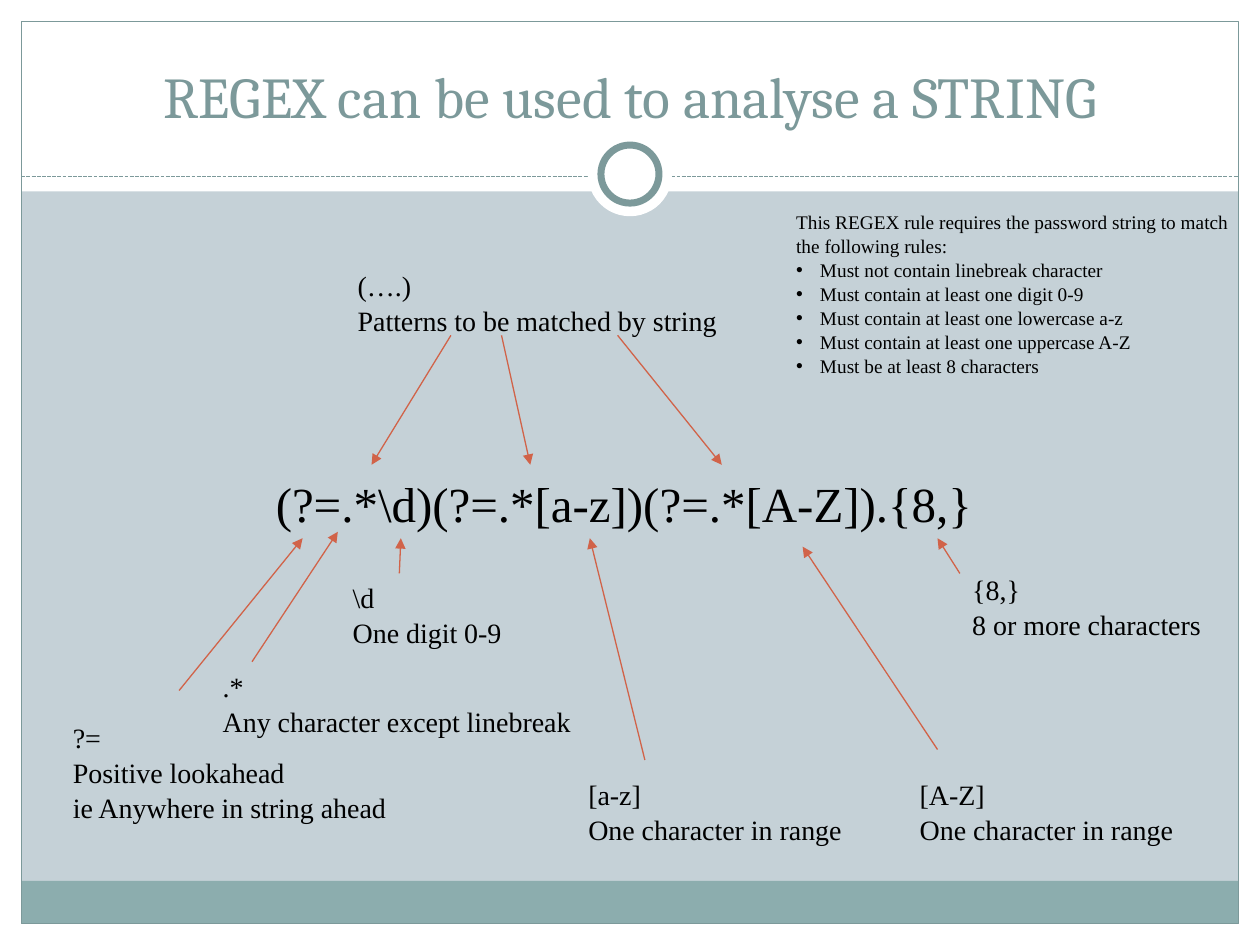
from dataclasses import dataclass
from lxml.etree import SubElement
from pptx import Presentation
from pptx.dml.color import RGBColor
from pptx.enum.dml import MSO_LINE
from pptx.enum.shapes import MSO_CONNECTOR, MSO_SHAPE
from pptx.enum.text import MSO_ANCHOR, PP_ALIGN
from pptx.oxml.ns import qn
from pptx.util import Cm, Pt


@dataclass(frozen=True)
class Theme:
    background: RGBColor = RGBColor.from_string("C5D1D7")
    white: RGBColor = RGBColor.from_string("FFFFFF")
    slate: RGBColor = RGBColor.from_string("7C999A")
    footer: RGBColor = RGBColor.from_string("8CADAE")
    arrow: RGBColor = RGBColor.from_string("D16349")
    text: RGBColor = RGBColor.from_string("000000")
    heading_font: str = "Cambria"
    body_font: str = "Times New Roman"
    heading_size: float = 33
    formula_size: float = 28
    note_size: float = 16
    rules_size: float = 11
    thin: float = 0.75
    ring: float = 4
    leading: float = 1.04


THEME = Theme()
SLIDE_WIDTH, SLIDE_HEIGHT = 25.4, 19.05
HEADER_HEIGHT = 3.86

FORMULA = r"(?=.*\d)(?=.*[a-z])(?=.*[A-Z]).{8,}"
NOTES = [
    (["{8,}", "8 or more characters"], (19.35, 7.54), 5.21,
     [(19.35, 7.7, 18.9, 6.99)]),
    (["[A-Z]", "One character in range"], (18.29, 11.66), 5.84,
     [(18.9, 11.25, 16.18, 7.16)]),
    (["[a-z]", "One character in range"], (11.61, 11.66), 5.84,
     [(13, 11.46, 11.89, 6.99)]),
    ([r"\d", "One digit 0-9"], (6.86, 7.7), 3.56,
     [(8.05, 7.7, 8.08, 6.99)]),
    (["?=", "Positive lookahead", "ie Anywhere in string ahead"], (1.22, 10.52), 6.96,
     [(3.61, 10.06, 6.1, 6.99)]),
    ([".*", "Any character except linebreak"], (4.24, 9.48), 7.65,
     [(5.08, 9.48, 6.81, 6.86)]),
    (["(….)", "Patterns to be matched by string"], (6.96, 1.4), 7.87,
     [(9.09, 2.9, 7.49, 5.51), (10.11, 2.9, 10.69, 5.51), (12.45, 2.9, 14.55, 5.51)]),
]
RULES_INTRO = "This REGEX rule requires the password string to match the following rules:"
RULES = [
    "Must not contain linebreak character",
    "Must contain at least one digit 0-9",
    "Must contain at least one lowercase a-z",
    "Must contain at least one uppercase A-Z",
    "Must be at least 8 characters",
]


def add_panel(slide, kind, box, fill=None, outline=None, weight=THEME.thin):
    panel = slide.shapes.add_shape(kind, *map(Cm, box))
    panel.shadow.inherit = False
    if fill is None:
        panel.fill.background()
    else:
        panel.fill.solid()
        panel.fill.fore_color.rgb = fill
    if outline is None:
        panel.line.fill.background()
    else:
        panel.line.color.rgb = outline
        panel.line.width = Pt(weight)


def add_line(slide, ends, color):
    line = slide.shapes.add_connector(MSO_CONNECTOR.STRAIGHT, *map(Cm, ends))
    line.line.color.rgb = color
    line.line.width = Pt(THEME.thin)
    SubElement(line._element.spPr, qn("a:effectLst"))
    return line


def add_arrow(slide, ends):
    arrow = add_line(slide, ends, THEME.arrow)
    SubElement(arrow.line._get_or_add_ln(), qn("a:tailEnd"), type="triangle")


def format_runs(paragraph, font, size, color):
    for run in paragraph.runs:
        run.font.name = font
        run.font.size = Pt(size)
        run.font.color.rgb = color


def add_text(slide, box, lines, size):
    frame = slide.shapes.add_textbox(*map(Cm, box)).text_frame
    frame.word_wrap = True
    frame.text = "\n".join(lines)
    for paragraph in frame.paragraphs:
        paragraph.line_spacing = THEME.leading
        format_runs(paragraph, THEME.body_font, size, THEME.text)
    return frame


def add_bullet(paragraph, indent):
    properties = paragraph._p.get_or_add_pPr()
    properties.set("marL", str(indent))
    properties.set("indent", str(-indent))
    SubElement(properties, qn("a:buFont"), typeface="Arial")
    SubElement(properties, qn("a:buChar"), char="•")


def build_backdrop(slide, box):
    left, top, width, height = box
    margin, footer = 0.43, 0.86
    inner_width, inner_height = width - 2 * margin, height - 2 * margin
    right, bottom = left + width - margin, top + height - margin
    for border in (
        (left, bottom, width, margin),
        (left, top, width, HEADER_HEIGHT),
        (left, top, margin, height),
        (right, top, margin, height),
    ):
        add_panel(slide, MSO_SHAPE.RECTANGLE, border, THEME.white)
    add_panel(slide, MSO_SHAPE.RECTANGLE,
              (left + margin, bottom - footer, inner_width, footer), THEME.footer)
    add_panel(slide, MSO_SHAPE.RECTANGLE,
              (left + margin, top + margin, inner_width, inner_height), None, THEME.slate)
    divider = top + 3.56
    dashes = add_line(slide, (left + margin, divider, right, divider), THEME.slate)
    dashes.line.dash_style = MSO_LINE.SQUARE_DOT
    center_x, center_y = left + width / 2, top + 3.51
    for diameter, outline in ((1.7, None), (1.17, THEME.slate)):
        add_panel(slide, MSO_SHAPE.OVAL,
                  (center_x - diameter / 2, center_y - diameter / 2, diameter, diameter),
                  THEME.white, outline, THEME.ring)


def build_title(slide, box, wording):
    title = slide.shapes.title
    title.left, title.top, title.width, title.height = map(Cm, box)
    slide.shapes._spTree.append(title._element)
    frame = title.text_frame
    frame.text = wording
    frame.vertical_anchor = MSO_ANCHOR.BOTTOM
    heading = frame.paragraphs[0]
    heading.alignment = PP_ALIGN.CENTER
    format_runs(heading, THEME.heading_font, THEME.heading_size, THEME.slate)


def build_diagram(slide, box):
    left, top, _, _ = box
    add_text(slide, (left + 5.31, top + 5.51, 16.21, 1.45), [FORMULA], THEME.formula_size)
    for lines, (x, y), width, arrows in NOTES:
        height = 0.27 + 0.68 * len(lines)
        add_text(slide, (left + x, top + y, width, height), lines, THEME.note_size)
        for x1, y1, x2, y2 in arrows:
            add_arrow(slide, (left + x1, top + y1, left + x2, top + y2))


def build_rules(slide, box):
    frame = add_text(slide, box, [RULES_INTRO, *RULES], THEME.rules_size)
    for rule in frame.paragraphs[1:]:
        add_bullet(rule, Cm(0.48))


def main():
    deck = Presentation()
    deck.slide_width, deck.slide_height = Cm(SLIDE_WIDTH), Cm(SLIDE_HEIGHT)
    slide = deck.slides.add_slide(deck.slide_layouts[5])
    slide.background.fill.solid()
    slide.background.fill.fore_color.rgb = THEME.background
    build_backdrop(slide, (0, 0, SLIDE_WIDTH, SLIDE_HEIGHT))
    build_title(slide, (0.85, 0.64, 23.7, 2.11), "REGEX can be used to analyse a STRING")
    build_diagram(slide, (0, HEADER_HEIGHT, SLIDE_WIDTH, SLIDE_HEIGHT - HEADER_HEIGHT))
    build_rules(slide, (15.8, 4.09, 9.6, 3.56))
    deck.save("out.pptx")


main()
